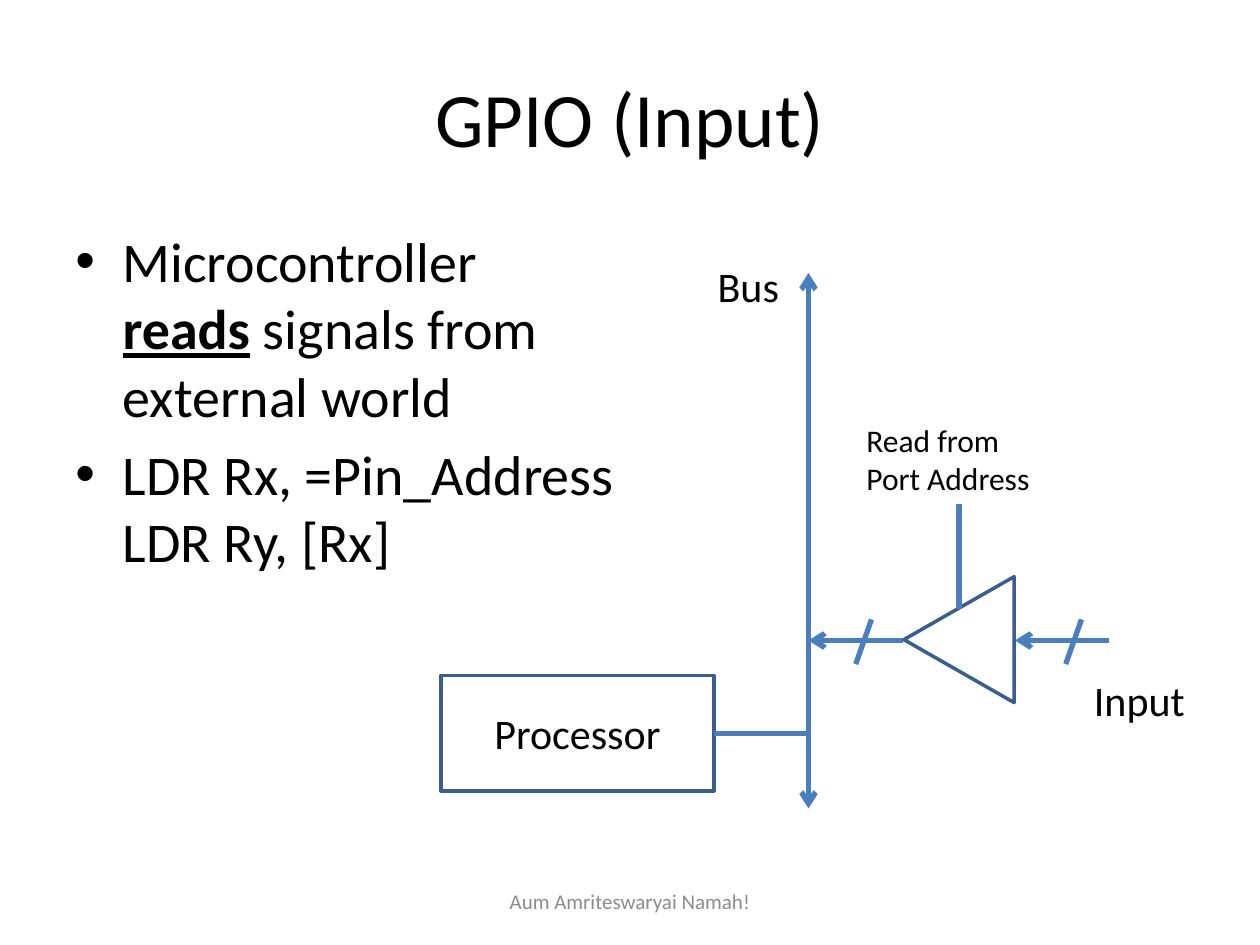
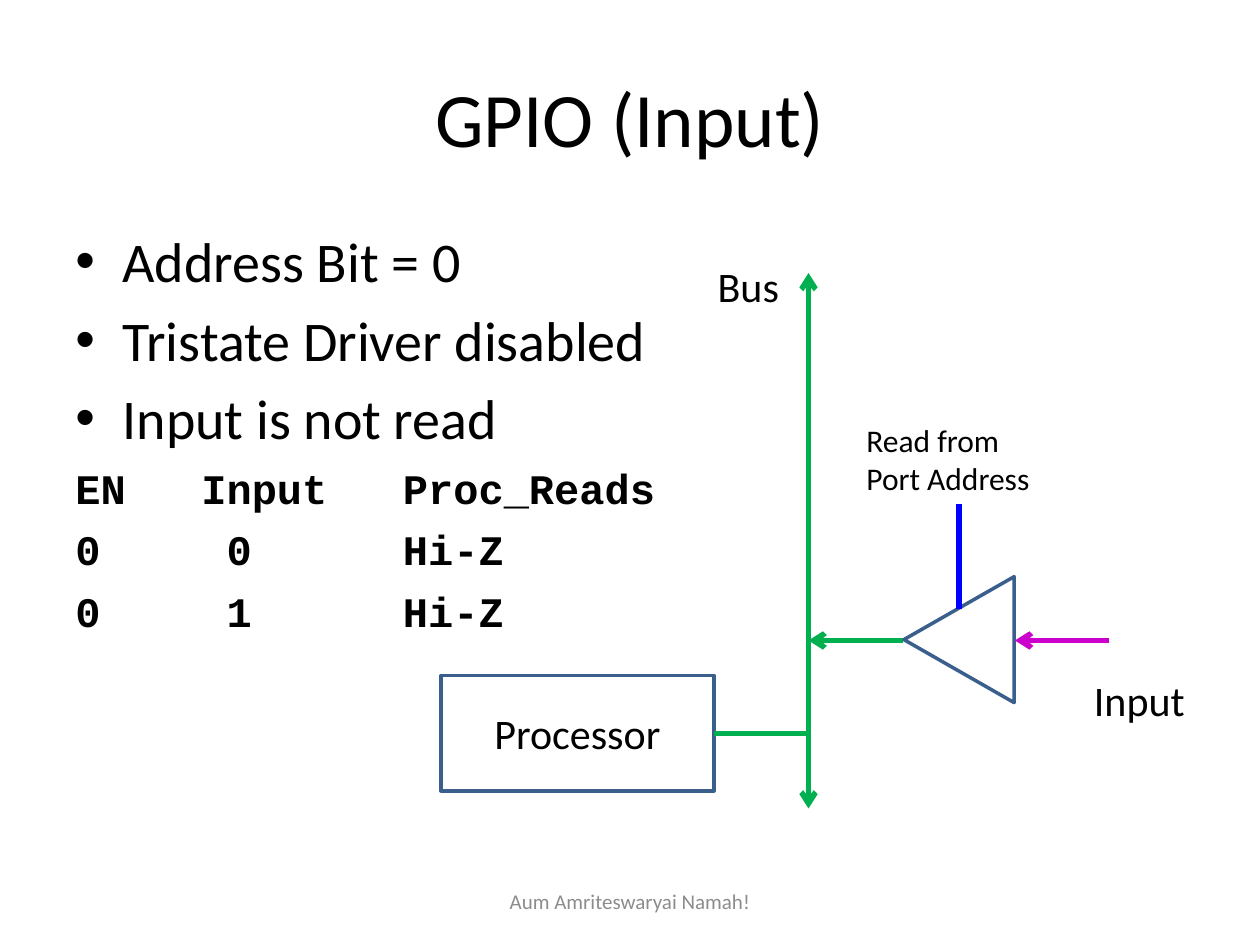
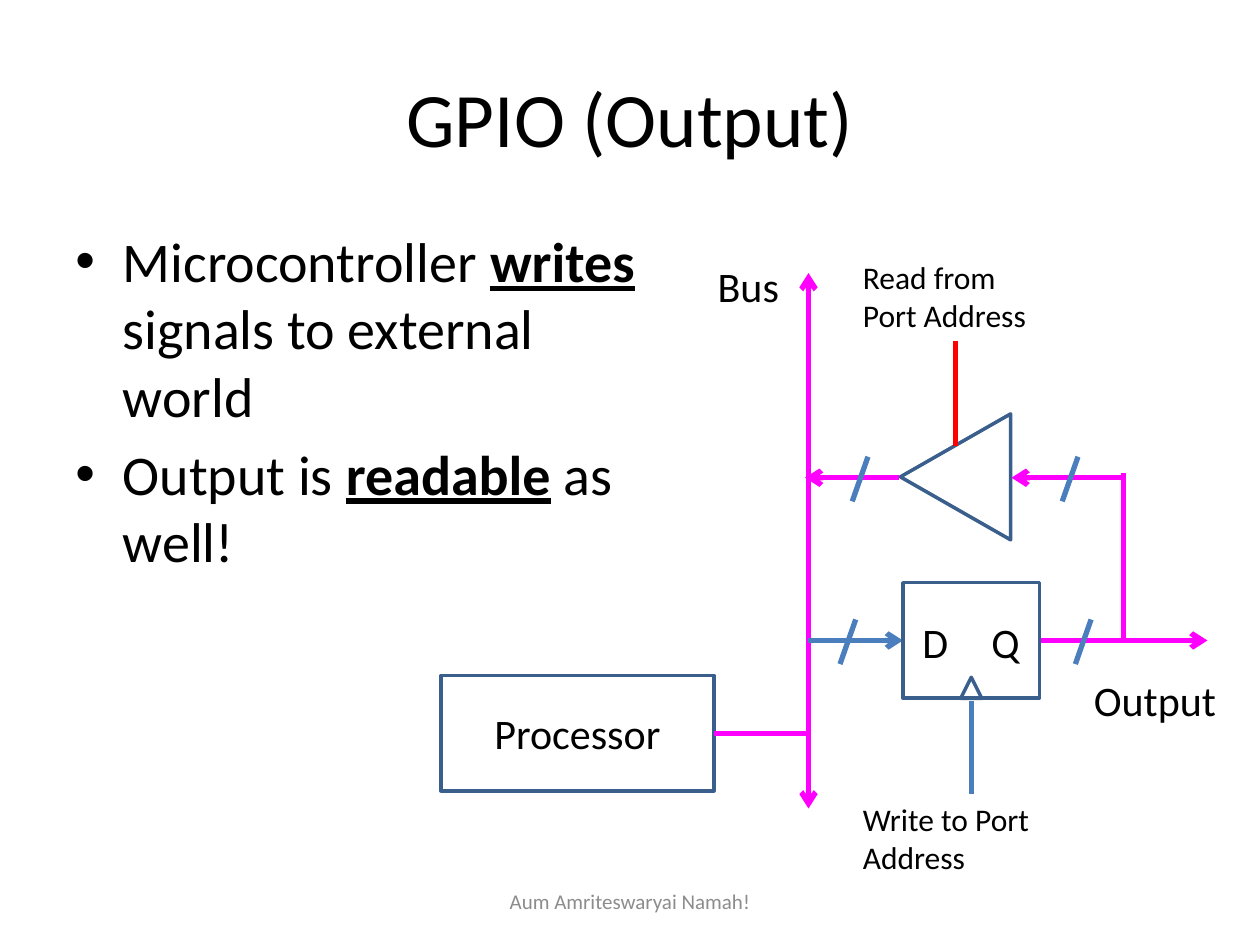
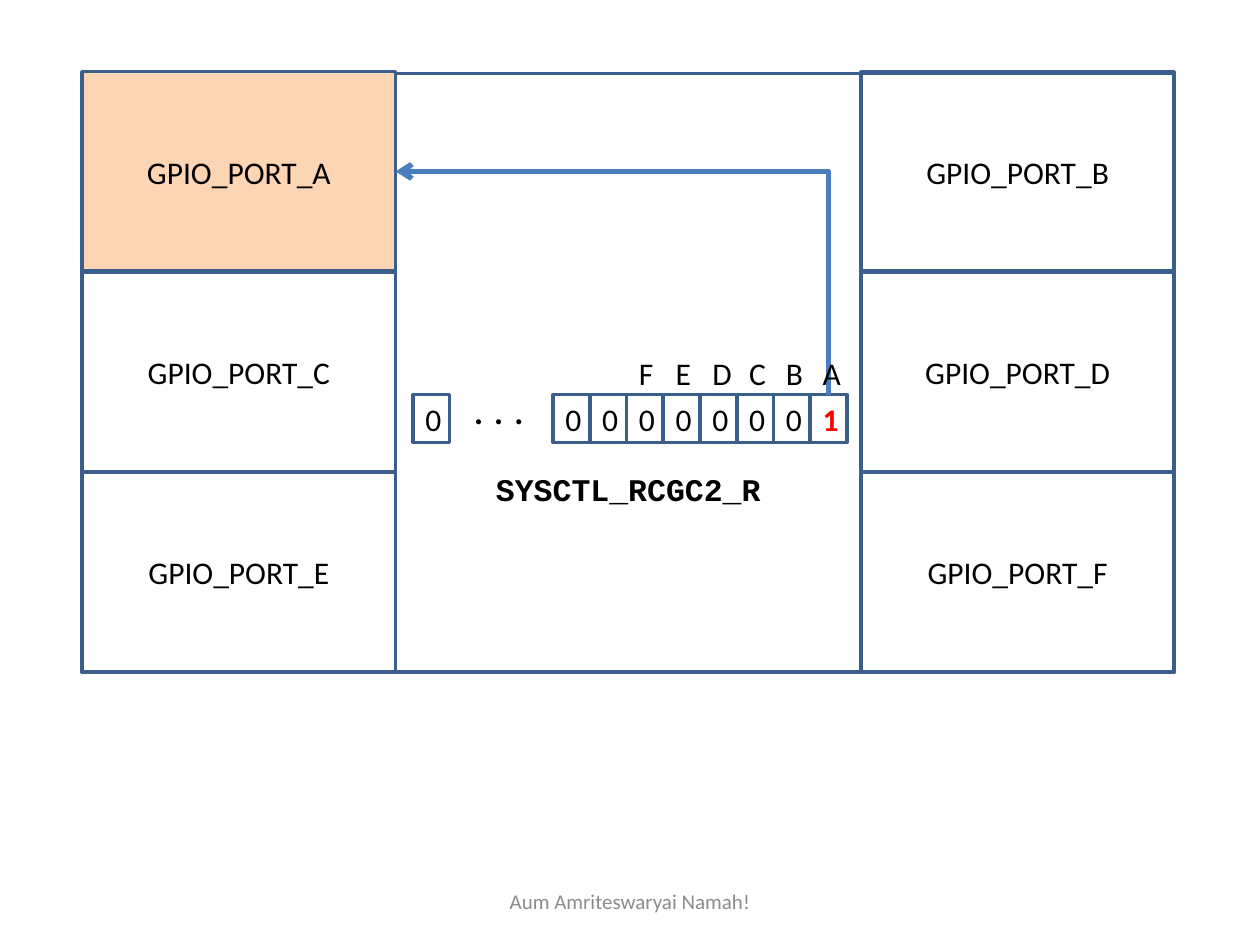
from lxml import etree
from pptx import Presentation
from pptx.dml.color import RGBColor
from pptx.enum.shapes import MSO_CONNECTOR, MSO_SHAPE
from pptx.enum.text import MSO_ANCHOR, PP_ALIGN
from pptx.oxml.ns import qn
from pptx.util import Pt

RECTANGLE = MSO_SHAPE.RECTANGLE
TRIANGLE = MSO_SHAPE.ISOSCELES_TRIANGLE
STRAIGHT, ELBOW = MSO_CONNECTOR.STRAIGHT, MSO_CONNECTOR.ELBOW
LEFT, CENTER = PP_ALIGN.LEFT, PP_ALIGN.CENTER
TOP, MIDDLE = MSO_ANCHOR.TOP, MSO_ANCHOR.MIDDLE
colour = RGBColor.from_string

BLACK, GREY, RED = "000000", "8C8C8C", "FF0000"
OUTLINE, WIRE, PEACH, WHITE = "3A5F8C", "4B7EBC", "FCD5B5", "FFFFFF"
GREEN, BLUE, PURPLE, MAGENTA = "00B050", "0000FF", "CC00CC", "FF00FF"
BODY_FONT, CODE_FONT = "Calibri", "Courier New"
SPACE_BEFORE = Pt(6.4)
FOOTER = "Aum Amriteswaryai Namah!"
FOOTER_BOX = (246, 500.5, 228, 29)


def add_text(slide, text, box, kind=None, size=24, font=BODY_FONT, color=BLACK, bold=False,
             align=LEFT, anchor=TOP, bullets=False, fill=None, line=OUTLINE):
    """Add a text box, or a shape of the given kind; *word* is emphasised, | breaks a line."""
    box = [Pt(length) for length in box]
    if kind is None:
        shape = slide.shapes.add_textbox(*box)
    else:
        shape = slide.shapes.add_shape(kind, *box)
        shape.shadow.inherit = False
        shape.line.color.rgb = colour(line)
        shape.line.width = Pt(2)
        if fill:
            shape.fill.solid()
            shape.fill.fore_color.rgb = colour(fill)
        else:
            shape.fill.background()
    frame = shape.text_frame
    frame.word_wrap = True
    frame.vertical_anchor = anchor
    for number, content in enumerate([text] if isinstance(text, str) else text):
        paragraph = frame.add_paragraph() if number else frame.paragraphs[0]
        paragraph.alignment = align
        if bullets:
            paragraph.space_before = SPACE_BEFORE
            properties = paragraph._p.get_or_add_pPr()
            properties.set("marL", str(Pt(27)))
            properties.set("indent", str(-Pt(27)))
            etree.SubElement(properties, qn("a:buFont"), typeface="Arial")
            etree.SubElement(properties, qn("a:buChar"), char="•")
        for part, piece in enumerate(content.split("*")):
            for row, words in enumerate(piece.split("|")):
                if row:
                    paragraph.add_line_break()
                if not words:
                    continue
                run = paragraph.add_run()
                run.text = words
                run.font.size = Pt(size)
                run.font.name = font
                run.font.color.rgb = colour(color)
                run.font.bold = bold or part % 2 == 1
                run.font.underline = part % 2 == 1
    return shape


def add_line(slide, start, end, color=WIRE, arrows=(), kind=STRAIGHT):
    """Add a connector; arrows lists the ends to mark, headEnd (start) or tailEnd."""
    connector = slide.shapes.add_connector(kind, *[Pt(length) for length in start + end])
    connector.line.color.rgb = colour(color)
    connector.line.width = Pt(3)
    outline = connector.line._get_or_add_ln()
    for arrow in arrows:
        etree.SubElement(outline, qn("a:" + arrow), type="arrow")
    etree.SubElement(connector._element.spPr, qn("a:effectLst"))
    return connector


presentation = Presentation()
presentation.slide_width, presentation.slide_height = Pt(720), Pt(540)
blank_layout = presentation.slide_layouts[6]

# GPIO slides: each has a bus, a processor and a tristate driver
BUS_X, PIN_Y = 462, 366
HEAD, BOTH = ("headEnd",), ("headEnd", "tailEnd")
gpio_slides = [
    dict(title="GPIO (Input)", body_width=324,
         points=["Microcontroller *reads* signals from external world",
                 "LDR Rx, =Pin_Address|LDR Ry, [Rx]"],
         bus=WIRE, enable=WIRE, feed=WIRE, shift=(0, 0), feed_end=634,
         slashes=True, pin="Input", truth_table=[]),
    dict(title="GPIO (Input)", body_width=354,
         points=["Address Bit = 0", "Tristate Driver disabled", "Input is not read"],
         bus=GREEN, enable=BLUE, feed=PURPLE, shift=(0, 0), feed_end=634,
         slashes=False, pin="Input",
         truth_table=[(72, ["EN", "Input", "Proc_Reads"]),
                      (86.4, ["0", "0", "Hi-Z"]),
                      (86.4, ["0", "1", "Hi-Z"])]),
    dict(title="GPIO (Output)", body_width=342,
         points=["Microcontroller *writes* signals to external world",
                 "Output is *readable* as well!"],
         bus=MAGENTA, enable=RED, feed=MAGENTA, shift=(-2, -93), feed_end=642,
         slashes=True, pin="Output", truth_table=[]),
]
for gpio in gpio_slides:
    slide = presentation.slides.add_slide(blank_layout)
    add_text(slide, gpio["title"], (36, 21.6, 648, 90), size=44, align=CENTER, anchor=MIDDLE)
    body = add_text(slide, gpio["points"], (36, 126, gpio["body_width"], 356.4),
                    size=32, bullets=True)
    add_text(slide, FOOTER, FOOTER_BOX, size=12, color=GREY, align=CENTER, anchor=MIDDLE)

    # Truth table rows, aligned by tab stops
    for middle_stop, cells in gpio["truth_table"]:
        paragraph = body.text_frame.add_paragraph()
        paragraph.space_before = SPACE_BEFORE
        tabs = etree.SubElement(paragraph._p.get_or_add_pPr(), qn("a:tabLst"))
        for stop in (middle_stop, 187.2):
            etree.SubElement(tabs, qn("a:tab"), pos=str(Pt(stop)), algn="l")
        run = paragraph.add_run()
        run.text = "\t".join(cells)
        run.font.size, run.font.name, run.font.bold = Pt(24), CODE_FONT, True
        run.font.color.rgb = colour(BLACK)

    # Processor and bus
    add_text(slide, "Processor", (252, 386, 156, 66), RECTANGLE, align=CENTER, anchor=MIDDLE)
    add_line(slide, (BUS_X, 156), (BUS_X, 462), gpio["bus"], BOTH)
    add_line(slide, (408, 419), (BUS_X, 419), gpio["bus"])
    add_text(slide, "Bus", (403, 145.5, 60, 36))

    # Tristate driver with its enable, output and feed lines
    shift_x, shift_y = gpio["shift"]
    driver_y = PIN_Y + shift_y
    add_line(slide, (BUS_X + shift_x, driver_y), (516 + shift_x, driver_y), gpio["bus"], HEAD)
    driver = add_text(slide, "", (512 + shift_x, 334 + shift_y, 72, 63), TRIANGLE)
    driver.rotation = 270
    add_line(slide, (548 + shift_x, 288 + shift_y), (548 + shift_x, 348 + shift_y),
             gpio["enable"])
    add_line(slide, (580 + shift_x, driver_y), (gpio["feed_end"], driver_y), gpio["feed"], HEAD)
    add_text(slide, "Read from Port Address", (488 + shift_x, 237 + shift_y, 120, 51), size=18)
    if gpio["slashes"]:
        for slash_x in (498 + shift_x, 618 + shift_x):
            add_line(slide, (slash_x, 354 + shift_y), (slash_x - 9, 379.5 + shift_y))
    add_text(slide, gpio["pin"], (618, 382, 96, 36))

# Output slide: latch between the bus and the pin, read back by the driver
add_line(slide, (516, PIN_Y), (BUS_X, PIN_Y), WIRE, HEAD)
add_line(slide, (690, PIN_Y), (594, PIN_Y), MAGENTA, HEAD)
add_line(slide, (642, PIN_Y), (642, 270), MAGENTA)
for slash_x in (489, 623.5):
    add_line(slide, (slash_x, 354), (slash_x - 9, 379.5))
add_text(slide, "", (516, 333, 78, 66), RECTANGLE)
add_text(slide, "", (549, 387, 12, 12), TRIANGLE)
add_line(slide, (555, 453.5), (555, 400.5))
add_text(slide, "D", (520, 348.5, 30, 36))
add_text(slide, "Q", (559.5, 348.5, 31, 36))
add_text(slide, "Write to Port Address", (486, 453.5, 120, 51), size=18)

# Port map slide: frame with the register name below its bits
slide = presentation.slides.add_slide(blank_layout)
add_text(slide, FOOTER, FOOTER_BOX, size=12, color=GREY, align=CENTER, anchor=MIDDLE)
frame_shape = add_text(slide, "SYSCTL_RCGC2_R", (47, 42, 624, 342), RECTANGLE, size=18,
                       font=CODE_FONT, bold=True, align=CENTER, anchor=MIDDLE)
frame_shape.text_frame.margin_top = Pt(136)

# Ports in two columns
ports = {}
for index, letter in enumerate("ABCDEF"):
    row, column = divmod(index, 2)
    ports[letter] = add_text(slide, "GPIO_PORT_" + letter,
                             (47 + 445 * column, 41 + 114.5 * row, 179, 114), RECTANGLE,
                             size=18, align=CENTER, anchor=MIDDLE,
                             fill=PEACH if letter == "A" else None)

# Register bits, lowest bit at the right
BIT_RIGHT, BIT_WIDTH, BIT_HEIGHT, BIT_TOP = 463, 21, 27.5, 225.5
bit_lefts = [BIT_RIGHT - BIT_WIDTH * index for index in range(8)]
bits = []
for index, left in enumerate(bit_lefts + [236]):
    enabled = index == 0
    bits.append(add_text(slide, "1" if enabled else "0", (left, BIT_TOP, BIT_WIDTH, BIT_HEIGHT),
                         RECTANGLE, size=18, color=RED if enabled else BLACK, bold=enabled,
                         align=CENTER, anchor=MIDDLE))
add_text(slide, ". . .", (260.5, 219, 49, BIT_HEIGHT), RECTANGLE, line=WHITE,
         align=CENTER, anchor=MIDDLE)

# Arrow from bit A to port A
arrow = add_line(slide, (226, 98), (473.5, BIT_TOP), WIRE, HEAD, ELBOW)
arrow.begin_connect(ports["A"], 3)
arrow.end_connect(bits[0], 0)
arrow._element.spPr.find(qn("a:prstGeom")).set("prst", "bentConnector2")

# Port letters above the bits
for letter, left in zip("ABCDEF", bit_lefts):
    add_text(slide, letter, (left, 199.5, BIT_WIDTH, BIT_HEIGHT), size=18,
             align=CENTER, anchor=MIDDLE)

presentation.save("out.pptx")
